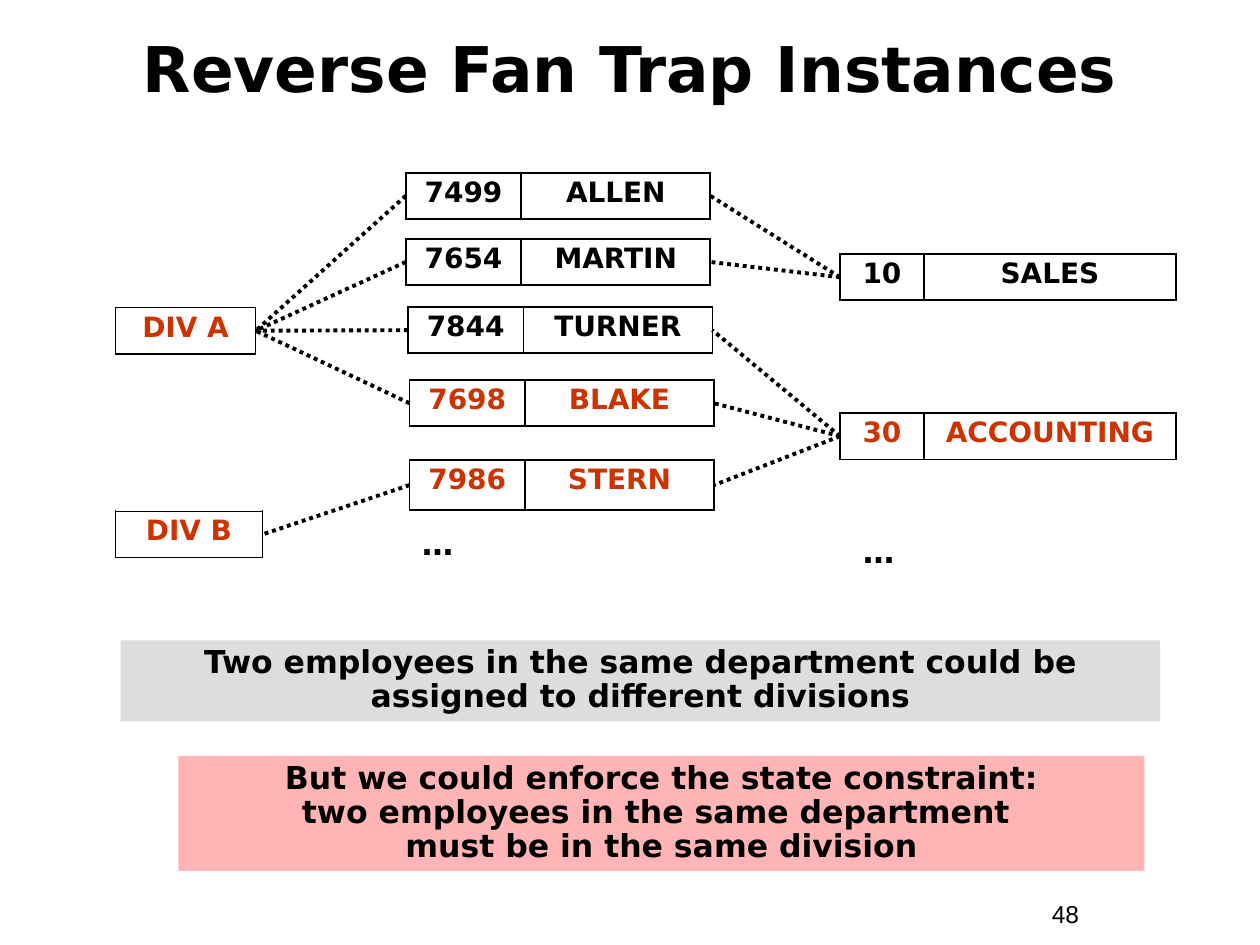
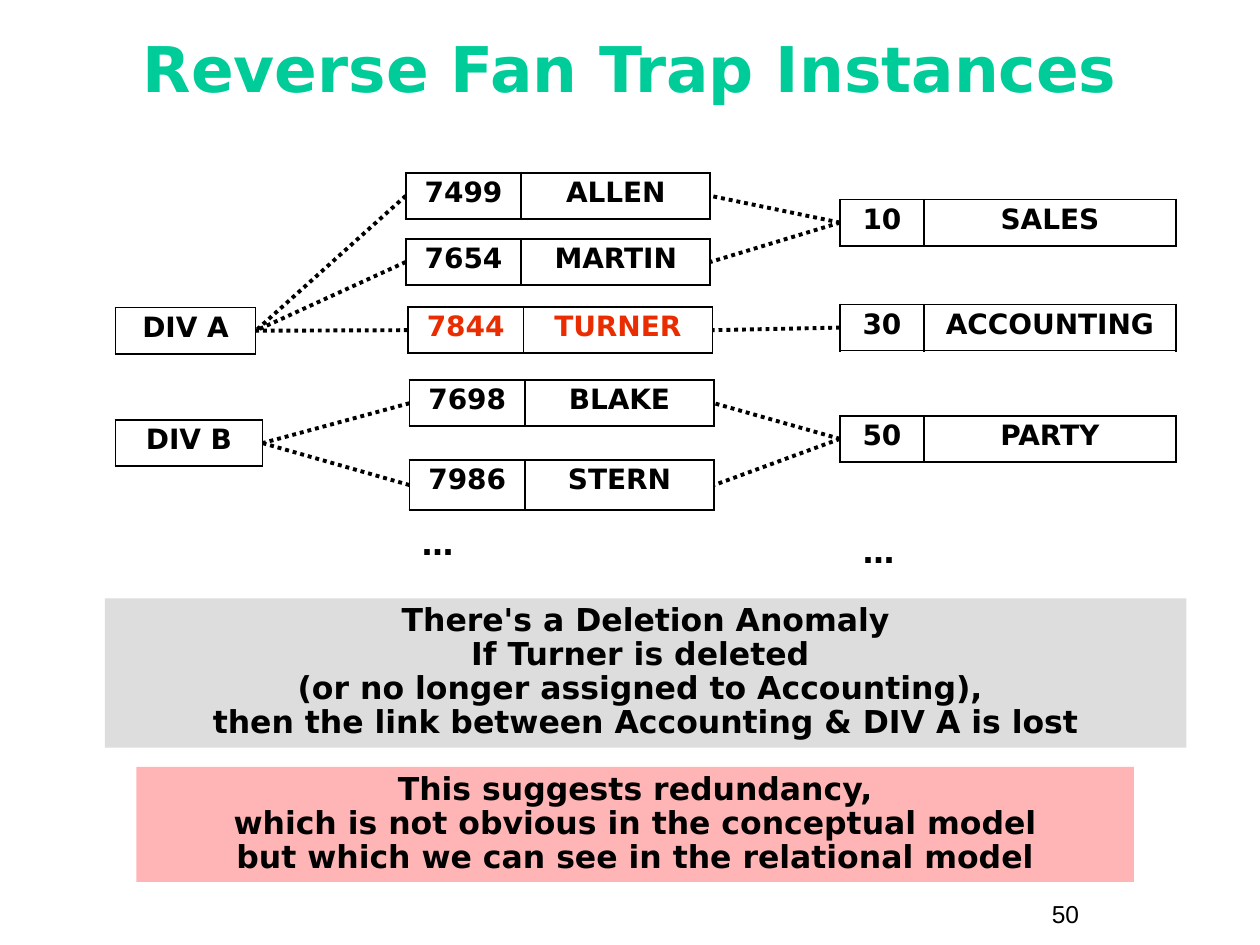
from dataclasses import dataclass

from lxml import etree
from pptx import Presentation
from pptx import util as u
from pptx.dml.color import RGBColor
from pptx.enum import dml, shapes, text
from pptx.oxml.ns import qn

COLORS = {"black": "000000", "rust": "CC3300", "red": "EA2D00",
          "green": "00CC99", "gray": "DDDDDD", "pink": "FFB5B5"}
FONT = "DejaVu Sans"
WIDE, HIGH = u.Inches(10), u.Inches(7.5)
COLS, ROWS = 120, 90
BOX_ROWS = 4.4
STAFF_WIDTHS, DEPT_WIDTHS = (11, 18), (8, 24)
DEPT_COL, DIV_COL = 80, 11


@dataclass(frozen=True)
class Area:
    """A rectangle in grid columns and rows."""
    col: float
    row: float
    wide: float
    high: float

    def lengths(self) -> tuple[int, int, int, int]:
        """Give left, top, width and height as slide lengths."""
        return (across(self.col), down(self.row),
                across(self.wide), down(self.high))


@dataclass(frozen=True)
class Box:
    """A one-row table holding an instance."""
    words: tuple[str, ...]
    col: float
    row: float
    widths: tuple[float, ...]
    ink: str = "black"
    high: float = BOX_ROWS

    @property
    def left(self) -> tuple[float, float]:
        """Give the middle of the left edge."""
        return self.col, self.row + self.high / 2

    @property
    def right(self) -> tuple[float, float]:
        """Give the middle of the right edge."""
        return self.col + sum(self.widths), self.row + self.high / 2


@dataclass(frozen=True)
class Band:
    """A filled note below the diagram."""
    words: str
    area: Area
    fill: str


@dataclass(frozen=True)
class Page:
    """All that differs from slide to slide."""
    number: str
    ink: str
    divs: list[Box]
    staff: list[Box]
    depts: list[Box]
    div_of: tuple[int, ...]
    dept_of: tuple[int, ...]
    bands: list[Band]


def across(cols: float) -> int:
    """Turn grid columns into a length."""
    return round(WIDE * cols / COLS)


def down(rows: float) -> int:
    """Turn grid rows into a length."""
    return round(HIGH * rows / ROWS)


def color(name: str) -> RGBColor:
    """Look up a named colour."""
    return RGBColor.from_string(COLORS[name])


def write(frame, words: str, size: float, ink: str = "black", font: str = FONT,
          bold: bool = True, center: bool = True, space: float = 0.9) -> None:
    """Fill a text frame with one formatted paragraph."""
    frame.word_wrap = True
    para = frame.paragraphs[0]
    para.text = words
    para.alignment = text.PP_ALIGN.CENTER if center else text.PP_ALIGN.LEFT
    para.line_spacing = space
    for run in para.runs:
        run.font.name = font
        run.font.size = u.Pt(size)
        run.font.bold = bold
        run.font.color.rgb = color(ink)


def edge(cell) -> None:
    """Draw a thin black border round a cell."""
    props = cell._tc.get_or_add_tcPr()
    for spot, side in enumerate(("lnL", "lnR", "lnT", "lnB")):
        line = etree.Element(qn(f"a:{side}"), w=str(u.Pt(1.08)))
        fill = etree.SubElement(line, qn("a:solidFill"))
        etree.SubElement(fill, qn("a:srgbClr"), val=COLORS["black"])
        props.insert(spot, line)


def draw_box(slide, box: Box) -> None:
    """Draw an instance as a bordered table."""
    area = Area(box.col, box.row, sum(box.widths), box.high)
    table = slide.shapes.add_table(1, len(box.words), *area.lengths()).table
    table.first_row = table.horz_banding = False
    for spot, (word, width) in enumerate(zip(box.words, box.widths)):
        table.columns[spot].width = across(width)
        cell = table.cell(0, spot)
        cell.fill.background()
        edge(cell)
        write(cell.text_frame, word, 16, box.ink)


def draw_link(slide, start: tuple[float, float], end: tuple[float, float]) -> None:
    """Draw a dotted line between two grid points."""
    link = slide.shapes.add_connector(
        shapes.MSO_CONNECTOR.STRAIGHT, across(start[0]), down(start[1]),
        across(end[0]), down(end[1]))
    link.line.color.rgb = color("black")
    link.line.width = u.Pt(2.25)
    link.line.dash_style = dml.MSO_LINE.ROUND_DOT
    etree.SubElement(link._element.spPr, qn("a:effectLst"))


def draw_band(slide, band: Band) -> None:
    """Draw a coloured note."""
    shape = slide.shapes.add_shape(
        shapes.MSO_SHAPE.RECTANGLE, *band.area.lengths())
    shape.shadow.inherit = False
    shape.fill.solid()
    shape.fill.fore_color.rgb = color(band.fill)
    shape.line.fill.background()
    shape.text_frame.vertical_anchor = text.MSO_ANCHOR.TOP
    write(shape.text_frame, band.words, 18)


def draw_text(slide, words: str, area: Area, size: float, **style) -> None:
    """Draw a plain left-aligned text box."""
    frame = slide.shapes.add_textbox(*area.lengths()).text_frame
    write(frame, words, size, center=False, **style)


def draw_page(deck, page: Page) -> None:
    """Build one slide."""
    slide = deck.slides.add_slide(deck.slide_layouts[5])
    title = slide.shapes.title
    title.left, title.top, title.width, title.height = Area(4, 2, 112, 10).lengths()
    title.text_frame.vertical_anchor = text.MSO_ANCHOR.MIDDLE
    write(title.text_frame, "Reverse Fan Trap Instances", 36, page.ink, space=0.85)
    for box in page.divs + page.staff + page.depts:
        draw_box(slide, box)
    for member, div, dept in zip(page.staff, page.div_of, page.dept_of):
        draw_link(slide, member.left, page.divs[div].right)
        draw_link(slide, page.depts[dept].left, member.right)
    for col, row in ((39, 49.7), (81, 50.5)):
        draw_text(slide, "…", Area(col, row, 22, 4.4), 18)
    for band in page.bands:
        draw_band(slide, band)
    draw_text(slide, page.number, Area(99, 85, 11, 4), 14,
              font="Arial", bold=False, space=1)


def make_staff(*inks: str) -> list[Box]:
    """List the employees, each in its ink."""
    rows = (("7499", "ALLEN", 38.65, 16.45, BOX_ROWS),
            ("7654", "MARTIN", 38.65, 22.75, BOX_ROWS),
            ("7844", "TURNER", 38.85, 29.25, BOX_ROWS),
            ("7698", "BLAKE", 39, 36.2, BOX_ROWS),
            ("7986", "STERN", 39, 43.8, 4.8))
    return [Box((code, name), col, row, STAFF_WIDTHS, ink, high)
            for (code, name, col, row, high), ink in zip(rows, inks)]


def make_divs(row: float, ink: str) -> list[Box]:
    """List both divisions, the second at the given row."""
    return [Box(("DIV A",), DIV_COL, 29.3, (13.35,), ink),
            Box(("DIV B",), DIV_COL, row, (14,), ink)]


def make_dept(code: str, name: str, row: float, ink: str = "black") -> Box:
    """Place a department at a row."""
    return Box((code, name), DEPT_COL, row, DEPT_WIDTHS, ink)


PAGES = [
    Page("48", "black", make_divs(48.7, "rust"),
         make_staff("black", "black", "black", "rust", "rust"),
         [make_dept("10", "SALES", 24.2),
          make_dept("30", "ACCOUNTING", 39.35, "rust")],
         (0, 0, 0, 0, 1), (0, 0, 1, 1, 1),
         [Band("Two employees in the same department could be assigned "
               "to different divisions", Area(11.5, 61, 99, 7.7), "gray"),
          Band("But we could enforce the state constraint:\n"
               "two employees in the same department \n"
               "must be in the same division", Area(17, 72, 92, 10.95), "pink")]),
    Page("50", "green", make_divs(40, "black"),
         make_staff("black", "black", "red", "black", "black"),
         [make_dept("10", "SALES", 19), make_dept("30", "ACCOUNTING", 29),
          make_dept("50", "PARTY", 39.6)],
         (0, 0, 0, 1, 1), (0, 0, 1, 2, 2),
         [Band("There's a Deletion Anomaly\nIf Turner is deleted \n"
               "(or no longer assigned to Accounting), \n"
               "then the link between Accounting & DIV A is lost",
               Area(10, 57, 103, 14.2), "gray"),
          Band("This suggests redundancy,\n"
               "which is not obvious in the conceptual model\n"
               "but which we can see in the relational model",
               Area(13, 73.05, 95, 10.95), "pink")]),
]


def main() -> None:
    """Build and save the deck."""
    deck = Presentation()
    deck.slide_width, deck.slide_height = WIDE, HIGH
    for page in PAGES:
        draw_page(deck, page)
    deck.save("out.pptx")


if __name__ == "__main__":
    main()
